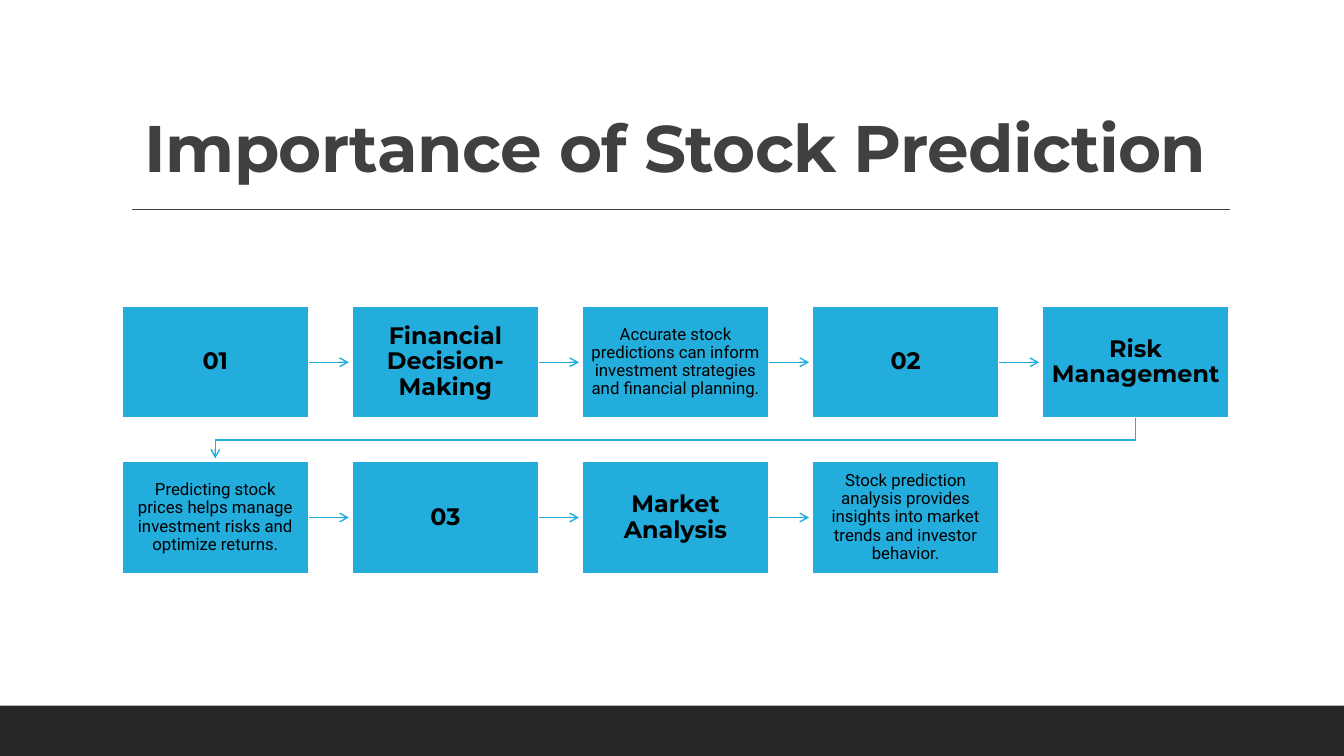
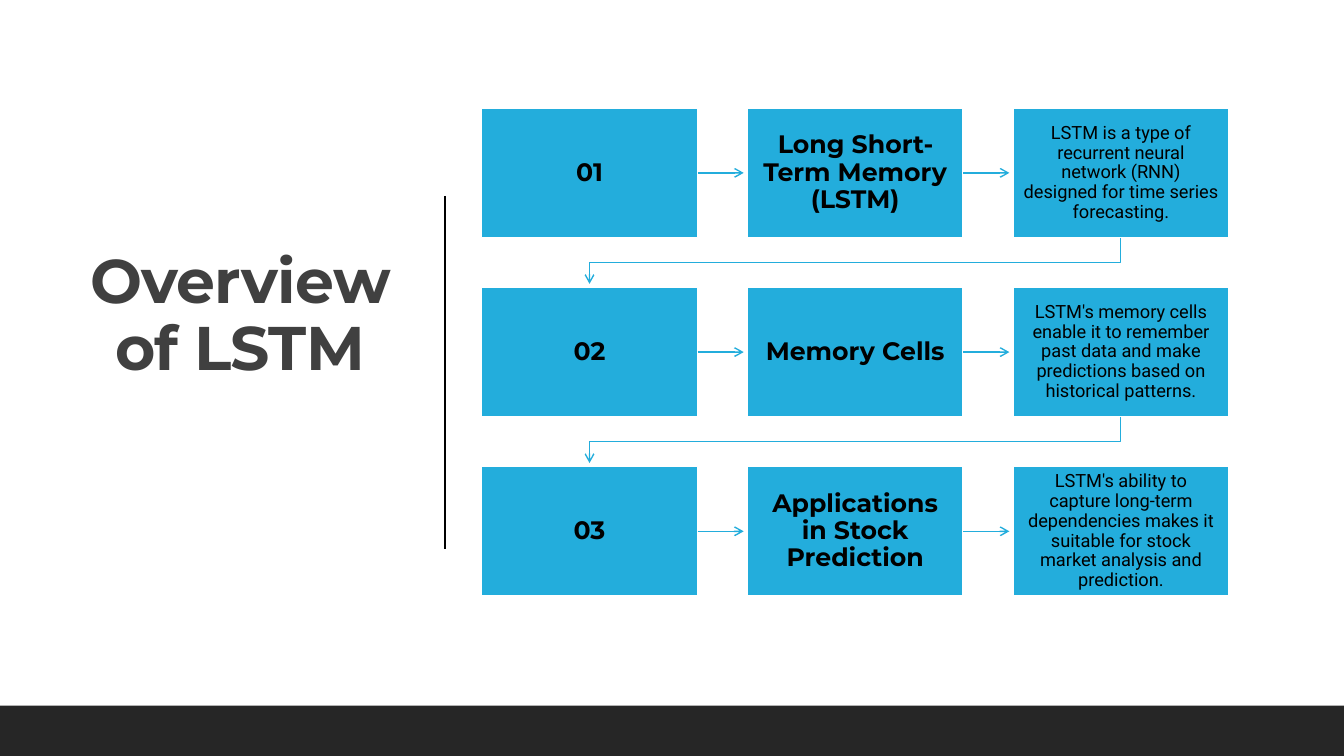
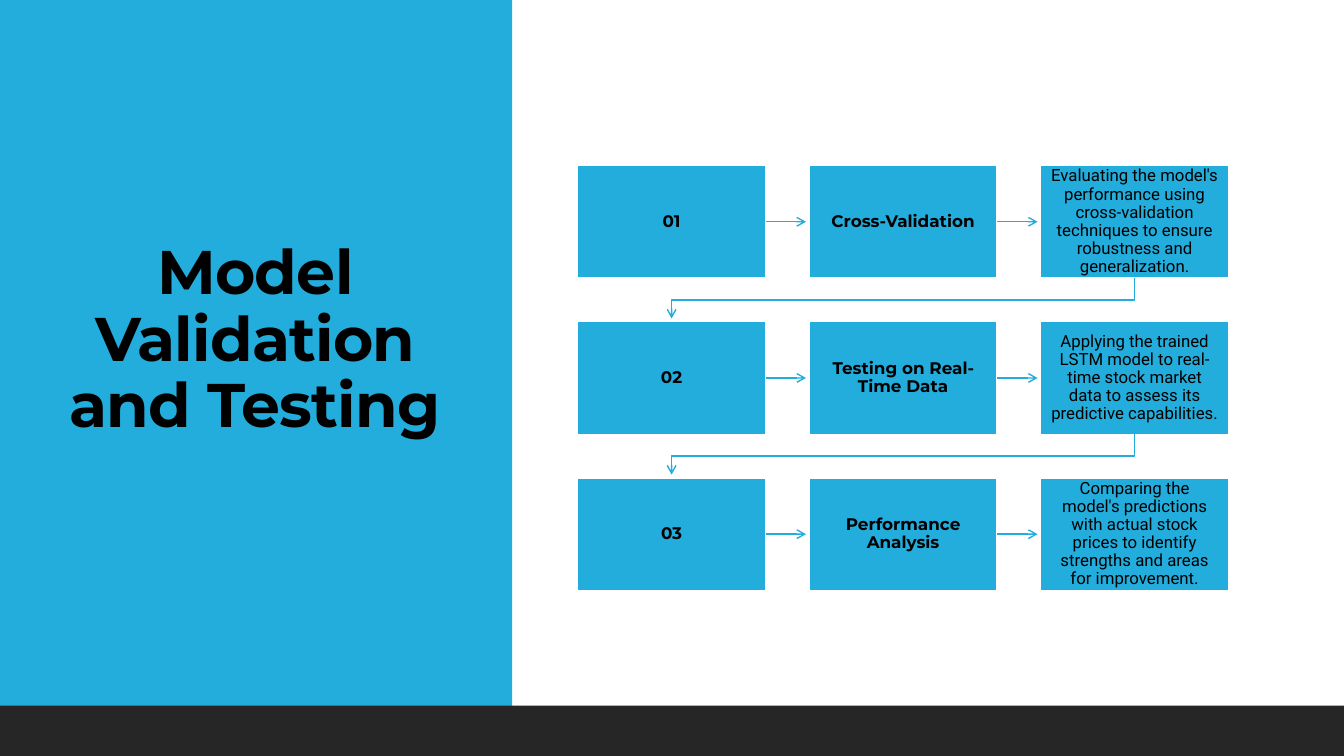
from itertools import chain

from lxml.etree import SubElement
from pptx import Presentation
from pptx.dml.color import RGBColor
from pptx.enum.shapes import MSO_CONNECTOR as Connector, MSO_SHAPE as Shape
from pptx.enum.text import MSO_ANCHOR as Anchor, MSO_AUTO_SIZE as AutoSize, PP_ALIGN as Align
from pptx.oxml.ns import qn
from pptx.util import Inches, Pt

SLIDE_WIDTH, SLIDE_HEIGHT = Inches(13.33), Inches(7.5)
BLUE, WHITE, BLACK = "23ADDC", "FFFFFF", "000000"
CHARCOAL, FOOTER = "404040", "262626"
HEADING_FONT, DETAIL_FONT = "Montserrat", "Roboto"
TITLE_ONLY = 5

GAP_TO_WIDTH = 0.23
HEIGHT_TO_WIDTH = 0.6
INSET_PERCENT = 4.8
ARROW_TO_GAP = 0.93

IMPORTANCE = [
    ("01", "Financial Decision-Making",
     "Accurate stock predictions can inform investment strategies and financial planning."),
    ("02", "Risk Management",
     "Predicting stock prices helps manage investment risks and optimize returns."),
    ("03", "Market Analysis",
     "Stock prediction analysis provides insights into market trends and investor behavior."),
]
OVERVIEW = [
    ("01", "Long Short-Term Memory (LSTM)",
     "LSTM is a type of recurrent neural network (RNN) designed for time series forecasting."),
    ("02", "Memory Cells",
     "LSTM's memory cells enable it to remember past data and make predictions "
     "based on historical patterns."),
    ("03", "Applications in Stock Prediction",
     "LSTM's ability to capture long-term dependencies makes it suitable for "
     "stock market analysis and prediction."),
]
VALIDATION = [
    ("01", "Cross-Validation",
     "Evaluating the model's performance using cross-validation techniques to "
     "ensure robustness and generalization."),
    ("02", "Testing on Real-Time Data",
     "Applying the trained LSTM model to real-time stock market data to assess "
     "its predictive capabilities."),
    ("03", "Performance Analysis",
     "Comparing the model's predictions with actual stock prices to identify "
     "strengths and areas for improvement."),
]


def color(hex_string):
    return RGBColor.from_string(hex_string)


def across(percent):
    return round(SLIDE_WIDTH * percent / 100)


def down(percent):
    return round(SLIDE_HEIGHT * percent / 100)


def area(left, top, width, height):
    return across(left), down(top), across(width), down(height)


def write(frame, text, font_name, size, hex_color, bold, anchor):
    frame.text = text
    frame.word_wrap = True
    frame.auto_size = AutoSize.NONE
    frame.vertical_anchor = anchor
    paragraph = frame.paragraphs[0]
    paragraph.alignment = Align.CENTER
    paragraph.line_spacing = 0.9
    run = paragraph.runs[0]
    run.font.name, run.font.size, run.font.bold = font_name, Pt(size), bold
    run.font.color.rgb = color(hex_color)
    return run


def add_block(slide, box, fill, border=None):
    block = slide.shapes.add_shape(Shape.RECTANGLE, *box)
    block.shadow.inherit = False
    block.fill.solid()
    block.fill.fore_color.rgb = color(fill)
    if border:
        block.line.color.rgb = color(border)
        block.line.width = Pt(1.25)
    else:
        block.line.fill.background()
    return block


def add_backdrop(slide, box, fill):
    backdrop = add_block(slide, box, fill)
    slide.shapes.title._element.addprevious(backdrop._element)


def add_rule(slide, start, end, hex_color, weight):
    rule = slide.shapes.add_connector(Connector.STRAIGHT, *start, *end)
    rule.line.color.rgb = color(hex_color)
    rule.line.width = Pt(weight)
    SubElement(rule._element.spPr, qn("a:effectLst"))
    return rule


def add_arrowhead(stroke):
    SubElement(stroke.line._get_or_add_ln(), qn("a:tailEnd"), type="arrow")


def add_next_arrow(slide, step, gap):
    start_x, y = step.left + step.width, step.top + step.height // 2
    arrow = add_rule(slide, (start_x, y), (start_x + round(gap * ARROW_TO_GAP), y), BLUE, 1)
    arrow.begin_connect(step, 3)
    add_arrowhead(arrow)


def add_return_arrow(slide, step, first_left, gap):
    start_x, start_y = step.left + step.width // 2, step.top + step.height
    end_x = first_left + step.width // 2
    turn_y, end_y = start_y + gap // 2, start_y + round(gap * ARROW_TO_GAP)
    outline = slide.shapes.build_freeform(start_x, start_y)
    outline.add_line_segments([(start_x, turn_y), (end_x, turn_y), (end_x, end_y)], close=False)
    arrow = outline.convert_to_shape()
    arrow.shadow.inherit = False
    arrow.fill.background()
    arrow.line.color.rgb = color(BLUE)
    arrow.line.width = Pt(1)
    add_arrowhead(arrow)


def add_step(slide, box, text, font_name, size, bold):
    step = add_block(slide, box, BLUE, WHITE)
    frame = step.text_frame
    inset = round(step.width * INSET_PERCENT / 100)
    frame.margin_left = frame.margin_right = inset
    frame.margin_top = frame.margin_bottom = inset
    write(frame, text, font_name, size, BLACK, bold, Anchor.MIDDLE)
    return step


def add_flow(slide, left, top, width, columns, topics, heading_size, detail_size):
    step_width = round(width / (columns + (columns - 1) * GAP_TO_WIDTH))
    step_height = round(step_width * HEIGHT_TO_WIDTH)
    gap = round(step_width * GAP_TO_WIDTH)
    texts = list(chain.from_iterable(topics))
    for index, text in enumerate(texts):
        row, column = divmod(index, columns)
        box = (left + column * (step_width + gap), top + row * (step_height + gap),
               step_width, step_height)
        if index % 3 == 2:
            step = add_step(slide, box, text, DETAIL_FONT, detail_size, False)
        else:
            step = add_step(slide, box, text, HEADING_FONT, heading_size, True)
        if index == len(texts) - 1:
            continue
        if column == columns - 1:
            add_return_arrow(slide, step, left, gap)
        else:
            add_next_arrow(slide, step, gap)


def place_title(slide, box, text, size, hex_color, anchor):
    title = slide.shapes.title
    title.left, title.top, title.width, title.height = box
    run = write(title.text_frame, text, HEADING_FONT, size, hex_color, True, anchor)
    run._r.get_or_add_rPr().set("spc", "-50")


def add_footer_band(slide):
    add_block(slide, area(0, 93.33, 100, 6.67), FOOTER)


def new_slide(deck):
    return deck.slides.add_slide(deck.slide_layouts[TITLE_ONLY])


def build_importance(deck):
    slide = new_slide(deck)
    add_footer_band(slide)
    add_rule(slide, (across(9.83), down(27.7)), (across(91.55), down(27.7)), CHARCOAL, 1)
    place_title(slide, area(9, 4.13, 82.52, 21.2), "Importance of Stock Prediction",
                47, CHARCOAL, Anchor.BOTTOM)
    add_flow(slide, across(9.06), down(40.5), across(82.4), 5, IMPORTANCE, 17, 12)


def build_overview(deck):
    slide = new_slide(deck)
    add_backdrop(slide, area(0, 0, 100, 100), WHITE)
    place_title(slide, area(5.27, 9.33, 25.2, 65.2), "Overview of LSTM",
                44, CHARCOAL, Anchor.MIDDLE)
    add_rule(slide, (across(33.13), down(25.9)), (across(33.13), down(72.57)), BLACK, 1.5)
    add_flow(slide, across(35.83), down(14.3), across(55.6), 3, OVERVIEW, 18, 13)
    add_footer_band(slide)


def build_validation(deck):
    slide = new_slide(deck)
    add_backdrop(slide, area(0, 0, 100, 100), WHITE)
    add_backdrop(slide, area(0, 0, 38.11, 100), BLUE)
    place_title(slide, area(4.05, 8.8, 29.86, 72.7), "Model Validation and Testing",
                44, BLACK, Anchor.MIDDLE)
    add_flow(slide, across(42.97), down(21.87), across(48.46), 3, VALIDATION, 12, 12)
    add_footer_band(slide)


def main():
    deck = Presentation()
    deck.slide_width, deck.slide_height = SLIDE_WIDTH, SLIDE_HEIGHT
    build_importance(deck)
    build_overview(deck)
    build_validation(deck)
    deck.save("out.pptx")


if __name__ == "__main__":
    main()
